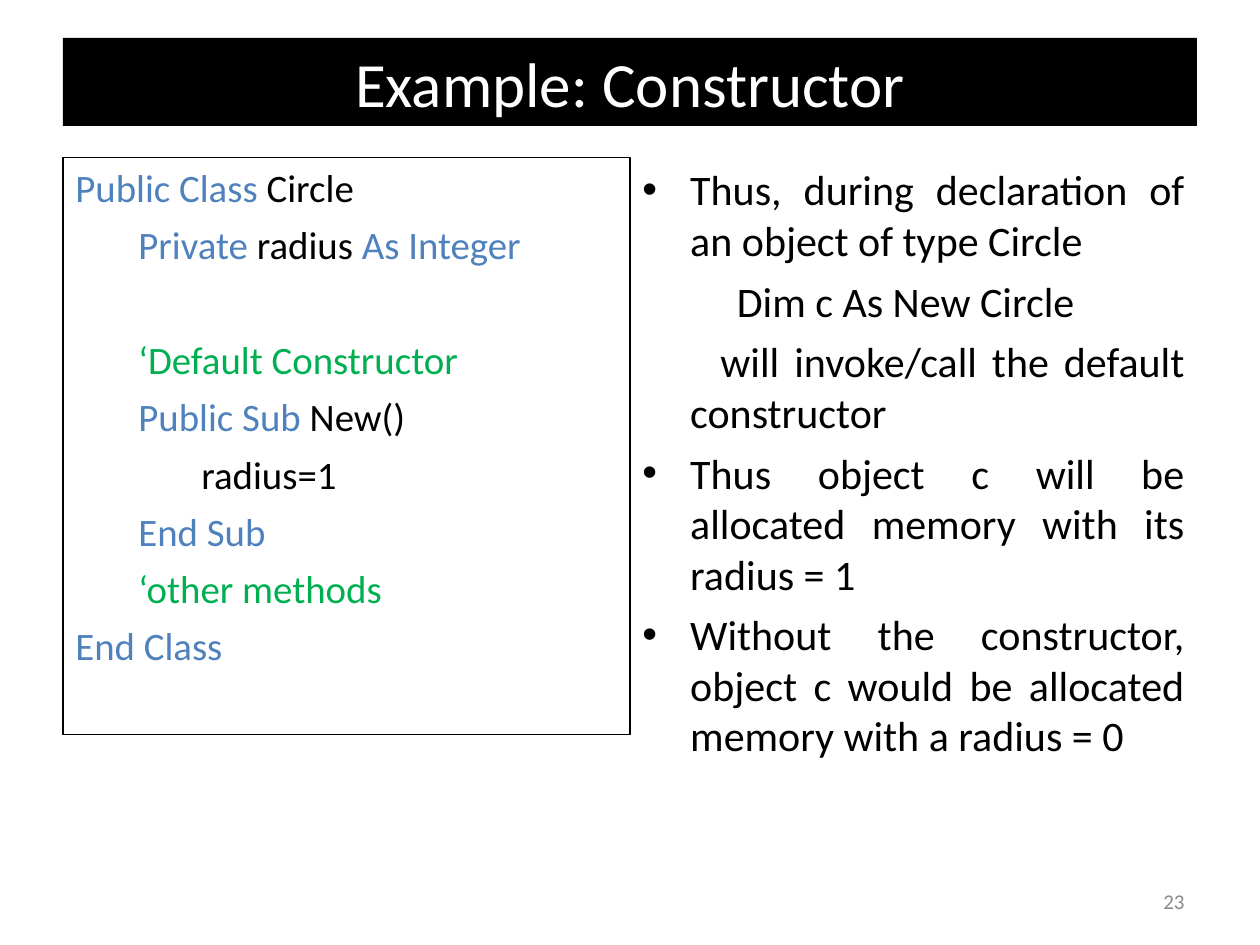
from dataclasses import dataclass

from lxml import etree
from pptx import Presentation
from pptx import util as u
from pptx.dml.color import RGBColor
from pptx.enum import shapes, text
from pptx.oxml.ns import qn


@dataclass(frozen=True)
class Theme:
    font: str = "Calibri"
    black: str = "000000"
    white: str = "FFFFFF"
    keyword: str = "4F81BD"
    comment: str = "00B050"
    muted: str = "898989"
    title: float = 36
    body: float = 24
    code: float = 22.2
    number: float = 12
    gap: float = 6


THEME = Theme()
ALIGN, ANCHOR = text.PP_ALIGN, text.MSO_ANCHOR

# Each line is a list of (text, colour); an empty line becomes space before the next.
CODE = [
    [("Public Class ", THEME.keyword), ("Circle", THEME.black)],
    [("\tPrivate", THEME.keyword), (" radius ", THEME.black), ("As Integer", THEME.keyword)],
    [],
    [("\t‘Default Constructor", THEME.comment)],
    [("\tPublic Sub ", THEME.keyword), ("New()", THEME.black)],
    [("\t\tradius=1", THEME.black)],
    [("\tEnd Sub", THEME.keyword)],
    [("\t‘other methods", THEME.comment)],
    [("End Class", THEME.keyword)],
]

# (text, bulleted, left margin, first-line indent)
NOTES = [
    ("Thus, during declaration of an object of type Circle", True, 0.38, -0.38),
    ("Dim c As New Circle", False, 0.75, 0),
    ("will invoke/call the default constructor", False, 0.38, 0.24),
    ("Thus object c will be allocated memory with its radius = 1", True, 0.38, -0.38),
    ("Without the constructor, object c would be allocated memory with a radius = 0",
     True, 0.38, -0.38),
]


def add_box(s, box, fill=None, line=None, anchor=ANCHOR.TOP):
    """Add a rectangle, or a plain text box if it has neither fill nor line."""
    place = [u.Inches(v) for v in box]
    if fill or line:
        sp = s.shapes.add_shape(shapes.MSO_SHAPE.RECTANGLE, *place)
        sp.shadow.inherit = False
        for part, colour in ((sp.fill, fill), (sp.line.fill, line)):
            if colour:
                part.solid()
                part.fore_color.rgb = RGBColor.from_string(colour)
            else:
                part.background()
        if line:
            sp.line.width = u.Pt(0.75)
    else:
        sp = s.shapes.add_textbox(*place)
    tf = sp.text_frame
    for name, value in {"word_wrap": True, "vertical_anchor": anchor}.items():
        setattr(tf, name, value)
    return tf


def add_paragraph(tf, first, align, space=0):
    p = tf.paragraphs[0] if first else tf.add_paragraph()
    p.alignment = align
    p.space_before = u.Pt(0 if first else space)
    return p


def add_run(p, words, size, colour):
    r = p.add_run()
    r.text = words
    for name, value in {"name": THEME.font, "size": u.Pt(size)}.items():
        setattr(r.font, name, value)
    r.font.color.rgb = RGBColor.from_string(colour)


def set_indent(p, margin, indent, bulleted):
    pPr = p._p.get_or_add_pPr()
    pPr.set("marL", str(u.Inches(margin)))
    pPr.set("indent", str(u.Inches(indent)))
    if bulleted:
        etree.SubElement(pPr, qn("a:buFont"), typeface="Arial")
        etree.SubElement(pPr, qn("a:buChar"), char="•")


def add_title(s, box):
    tf = add_box(s, box, fill=THEME.black, anchor=ANCHOR.MIDDLE)
    add_run(add_paragraph(tf, True, ALIGN.CENTER), "Example: Constructor",
            THEME.title, THEME.white)


def add_code(s, box):
    tf = add_box(s, box, line=THEME.black)
    space = THEME.gap
    for i, line in enumerate(CODE):
        if not line:
            space += THEME.gap + 1.22 * THEME.code
            continue
        p = add_paragraph(tf, i == 0, ALIGN.JUSTIFY, space)
        for words, colour in line:
            add_run(p, words, THEME.code, colour)
        space = THEME.gap


def add_notes(s, box):
    tf = add_box(s, box)
    for i, (words, bulleted, margin, indent) in enumerate(NOTES):
        p = add_paragraph(tf, i == 0, ALIGN.JUSTIFY, THEME.gap)
        set_indent(p, margin, indent, bulleted)
        add_run(p, words, THEME.body, THEME.black)


def add_slide_number(s, box):
    tf = add_box(s, box, anchor=ANCHOR.MIDDLE)
    add_run(add_paragraph(tf, True, ALIGN.RIGHT), "23", THEME.number, THEME.muted)


def main():
    prs = Presentation()
    prs.slide_width, prs.slide_height = u.Inches(10), u.Inches(7.5)
    s = prs.slides.add_slide(prs.slide_layouts[6])
    add_title(s, (0.5, 0.3, 9, 0.7))
    add_code(s, (0.5, 1.25, 4.5, 4.58))
    add_slide_number(s, (7.17, 6.95, 2.33, 0.4))
    add_notes(s, (5, 1.25, 4.5, 5.45))
    prs.save("out.pptx")


if __name__ == "__main__":
    main()
